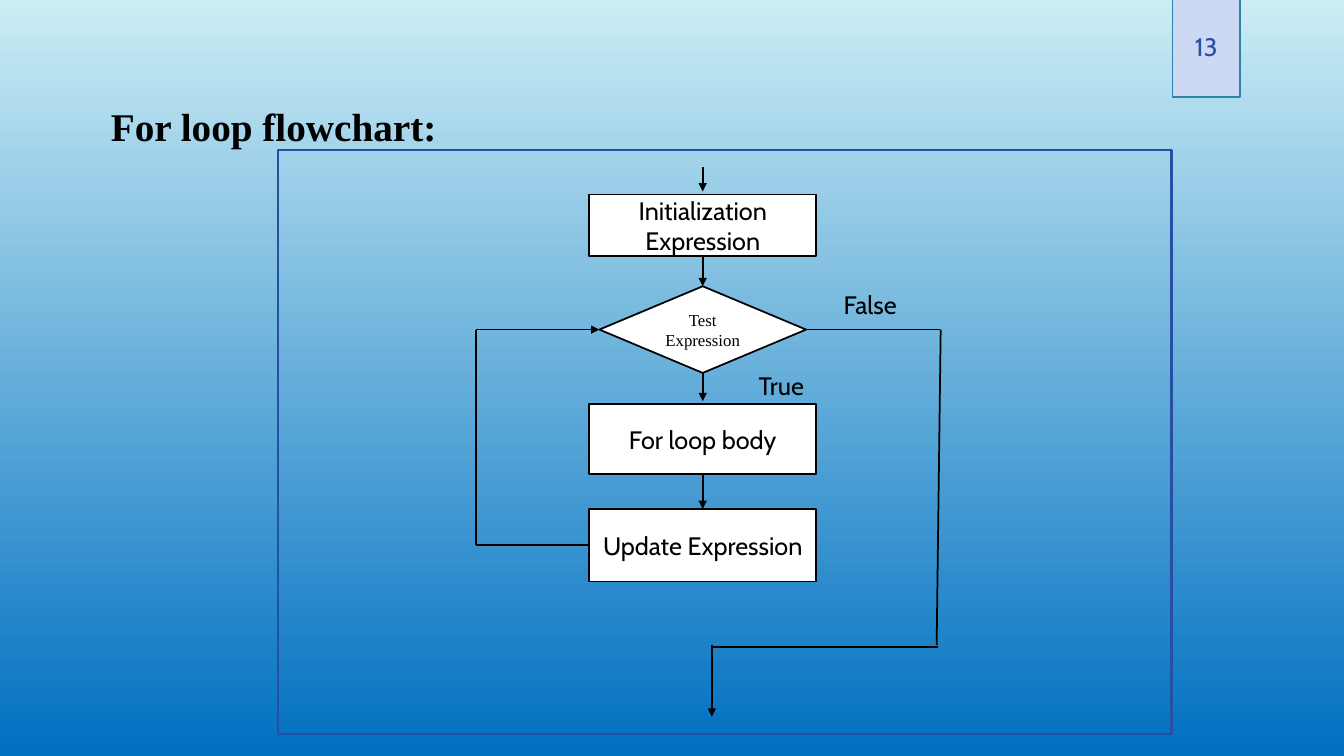
"""Builds the slide with the flowchart of a for loop."""
from lxml import etree
from pptx import Presentation, util as u
from pptx.dml.color import RGBColor
from pptx.enum import shapes, text
from pptx.oxml.ns import qn

WIDTH, HEIGHT = 13.33, 7.5
BLACK, WHITE, BLUE = "000000", "FFFFFF", "274FA4"
SANS, SERIF = "Cabin", "Times New Roman"
BACKDROP = ("CBECF5", "0070C0")
HEADING = "For loop flowchart:"
PAGE_NUMBER = "13"

AXIS, LOOP_X, EXIT_X, END_X = 6.97, 4.72, 9.32, 7.06
BOX, DIAMOND = shapes.MSO_SHAPE.RECTANGLE, shapes.MSO_SHAPE.DIAMOND
STEPS = [
    ("Initialization Expression", BOX, 1.93, 2.25, 0.61, SANS, 18),
    ("Test Expression", DIAMOND, 2.84, 2.05, 0.86, SERIF, 12),
    ("For loop body", BOX, 4.01, 2.25, 0.69, SANS, 18),
    ("Update Expression", BOX, 5.05, 2.25, 0.72, SANS, 18),
]
ANSWERS = [("False", 8.22, 2.84, 0.82, 0.36), ("True", 7.4, 3.66, 0.7, 0.33)]

TEST_Y, UPDATE_Y, EXIT_Y = 3.27, 5.41, 6.42
BOX_LEFT = AXIS - 2.25 / 2
TEST_LEFT, TEST_RIGHT = AXIS - 2.05 / 2, AXIS + 2.05 / 2
ARROWS = [(AXIS, top, AXIS, end) for top, end in
          ((1.66, 1.9), (2.54, 2.84), (3.7, 3.98), (4.7, 5.05))]
ARROWS += [(LOOP_X, TEST_Y, TEST_LEFT, TEST_Y), (END_X, 6.4, END_X, 7.11)]
LINES = [
    (BOX_LEFT, UPDATE_Y, LOOP_X, UPDATE_Y),
    (LOOP_X, UPDATE_Y, LOOP_X, TEST_Y),
    (TEST_RIGHT, TEST_Y, EXIT_X, TEST_Y),
    (9.33, TEST_Y, 9.29, 6.4),
    (9.3, EXIT_Y, END_X, EXIT_Y),
]


def color(value):
    return RGBColor.from_string(value)


def inches(*lengths):
    return [u.Inches(length) for length in lengths]


def write(holder, words, font_name=SANS, size=18, ink=BLACK):
    frame = holder.text_frame
    frame.word_wrap = True
    frame.vertical_anchor = text.MSO_ANCHOR.MIDDLE
    frame.text = words
    paragraph = frame.paragraphs[0]
    paragraph.alignment = text.PP_ALIGN.CENTER
    paragraph.font.name = font_name
    paragraph.font.size = u.Pt(size)
    paragraph.font.color.rgb = color(ink)
    return paragraph


def block(slide, kind, place, fill, outline, weight=1.25):
    drawn = slide.shapes.add_shape(kind, *inches(*place))
    drawn.shadow.inherit = False
    if fill:
        drawn.fill.solid()
        drawn.fill.fore_color.rgb = color(fill)
    else:
        drawn.fill.background()
    drawn.line.color.rgb = color(outline)
    drawn.line.width = u.Pt(weight)
    return drawn


def link(slide, ends, arrow):
    drawn = slide.shapes.add_connector(shapes.MSO_CONNECTOR.STRAIGHT, *inches(*ends))
    drawn.line.color.rgb = color(BLACK)
    drawn.line.width = u.Pt(1.25)
    if arrow:
        etree.SubElement(drawn.line._get_or_add_ln(), qn("a:tailEnd"), type="triangle")
    etree.SubElement(drawn._element.spPr, qn("a:effectLst"))


def main():
    deck = Presentation()
    deck.slide_width, deck.slide_height = inches(WIDTH, HEIGHT)
    slide = deck.slides.add_slide(deck.slide_layouts[5])

    backdrop = slide.background.fill
    backdrop.gradient()
    backdrop.gradient_angle = 270
    for stop, shade, position in zip(backdrop.gradient_stops, BACKDROP, (0, 1)):
        stop.color.rgb = color(shade)
        stop.position = position

    heading = slide.shapes.title
    heading.left, heading.top, heading.width, heading.height = inches(1, 0.87, 11.33, 0.7)
    line = write(heading, HEADING, SERIF, 28)
    heading.text_frame.vertical_anchor = text.MSO_ANCHOR.TOP
    line.alignment = text.PP_ALIGN.LEFT
    line.line_spacing = 1.2
    line.font.bold = True

    for words, kind, top, width, height, font_name, size in STEPS:
        step = block(slide, kind, (AXIS - width / 2, top, width, height), WHITE, BLACK)
        write(step, words, font_name, size)
    for ends in ARROWS:
        link(slide, ends, True)
    for ends in LINES:
        link(slide, ends, False)
    for words, *place in ANSWERS:
        write(slide.shapes.add_textbox(*inches(*place)), words)

    tag = block(slide, BOX, (11.63, -0.04, 0.67, 1), "CDD9F3", "2B83A7")
    write(tag, PAGE_NUMBER, ink=BLUE)
    block(slide, BOX, (2.76, 1.49, 8.86, 5.79), None, BLUE, 1.5)
    deck.save("out.pptx")


if __name__ == "__main__":
    main()
